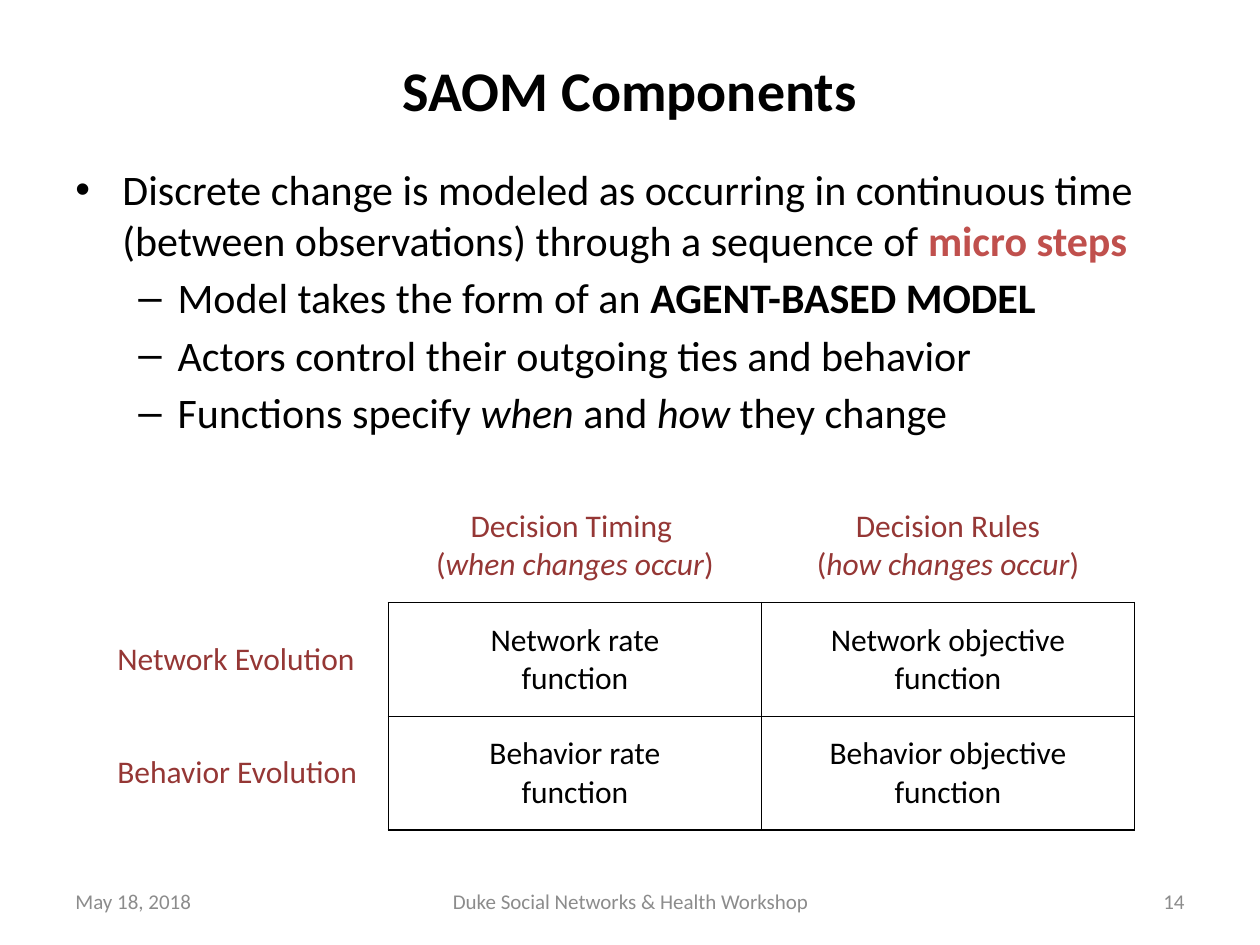
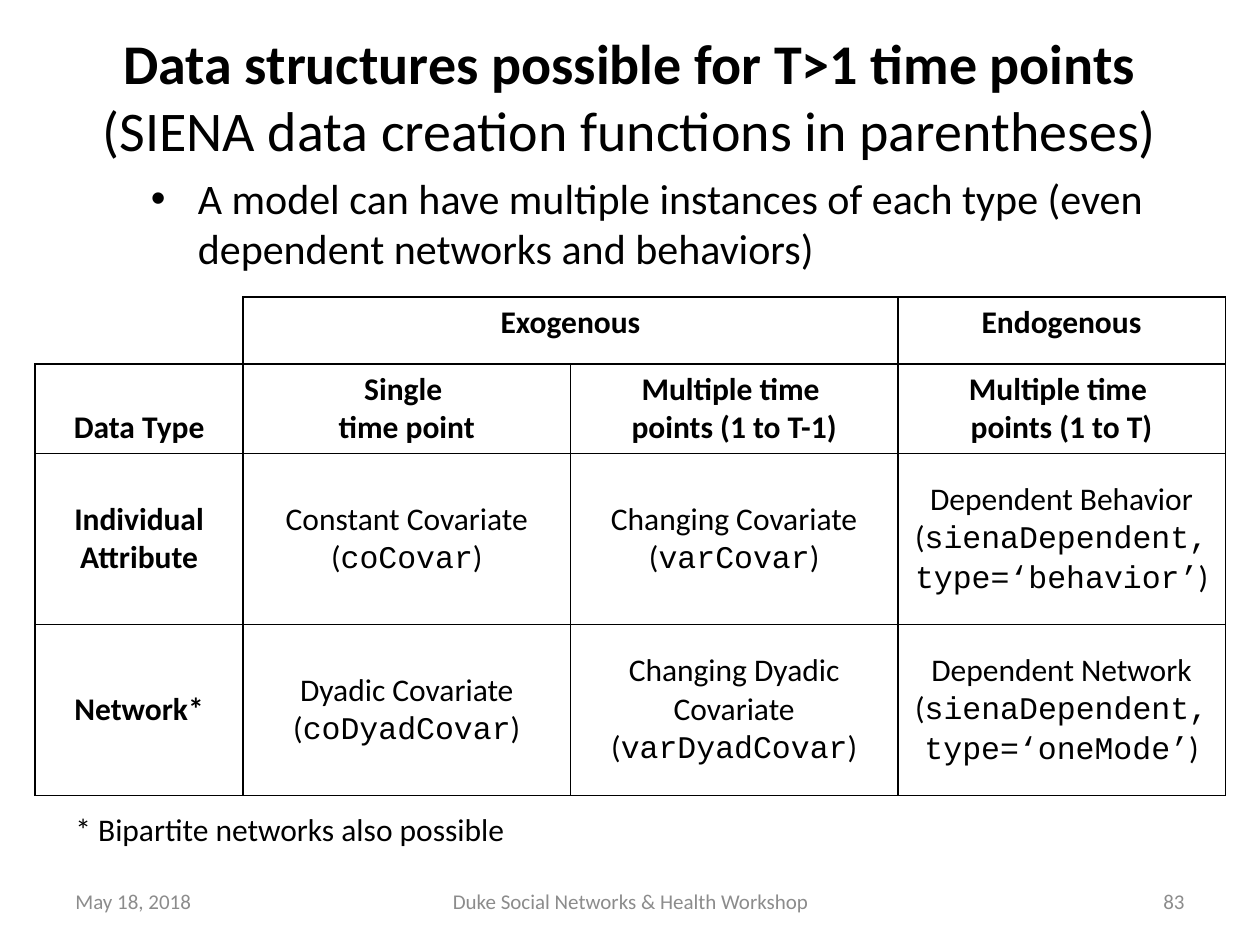
from lxml import etree
from pptx import Presentation
from pptx.dml.color import RGBColor
from pptx.enum.text import MSO_ANCHOR, PP_ALIGN
from pptx.oxml.ns import qn
from pptx.util import Cm, Pt

LEFT, CENTER, RIGHT = PP_ALIGN.LEFT, PP_ALIGN.CENTER, PP_ALIGN.RIGHT
TOP, MIDDLE, BOTTOM = MSO_ANCHOR.TOP, MSO_ANCHOR.MIDDLE, MSO_ANCHOR.BOTTOM

BLACK, GRAY, RED, DARK_RED = "000000", "8C8C8C", "C0504D", "953735"
BODY_FONT, CODE_FONT = "Calibri", "Courier New"
TITLE_SIZE, BODY_SIZE, TABLE_SIZE, FOOTER_SIZE = 32, 24, 18, 12
MARGIN = 1.27
# Bullet levels: character, left margin, hanging indent
LEVELS = [("•", 0.95, -0.95), ("–", 2.06, -0.79)]


def rgb(value):
    return RGBColor.from_string(value)


class Deck:
    """Holds the shared style and the slide being built."""

    def __init__(self):
        self.deck = Presentation()
        self.deck.slide_width, self.deck.slide_height = Cm(25.4), Cm(19.05)
        self.page = None

    def add_page(self, number):
        self.page = self.deck.slides.add_slide(self.deck.slide_layouts[6])
        footers = [(MARGIN, 5.92, "May 18, 2018", LEFT),
                   (8.69, 8.05, "Duke Social Networks & Health Workshop", CENTER),
                   (18.21, 5.92, str(number), RIGHT)]
        for left, width, text, align in footers:
            self.text(left, 17.65, width, 1.02, [text], size=FOOTER_SIZE,
                      color=GRAY, align=align, anchor=MIDDLE)

    def fill_text(self, frame, paragraphs, size, color=BLACK, align=LEFT, bold=False):
        """Each paragraph is a string or a list of strings and (text, style) pairs."""
        frame.text = "\n".join([""] * len(paragraphs))
        for para, spans in zip(frame.paragraphs, paragraphs):
            para.alignment = align
            for item in [spans] if isinstance(spans, str) else spans:
                text, style = (item, {}) if isinstance(item, str) else item
                span = para.add_run()
                span.text = text
                span.font.size = Pt(size)
                span.font.name = style.get("font", BODY_FONT)
                span.font.bold = style.get("bold", bold)
                span.font.italic = style.get("italic", False)
                span.font.color.rgb = rgb(style.get("color", color))

    def text(self, left, top, width, height, paragraphs, anchor=TOP, wrap=True, **style):
        box = self.page.shapes.add_textbox(Cm(left), Cm(top), Cm(width), Cm(height))
        frame = box.text_frame
        frame.word_wrap = wrap
        frame.vertical_anchor = anchor
        self.fill_text(frame, paragraphs, **style)
        return frame

    def title(self, top, height, paragraphs):
        return self.text(MARGIN, top, 22.86, height, paragraphs, anchor=MIDDLE,
                         size=TITLE_SIZE, align=CENTER, bold=True)

    def bullets(self, left, top, width, height, items):
        """Items are (level, paragraph) pairs."""
        frame = self.text(left, top, width, height, [spans for _, spans in items],
                          size=BODY_SIZE)
        for index, (para, (level, _)) in enumerate(zip(frame.paragraphs, items)):
            mark, margin, indent = LEVELS[level]
            properties = para._p.get_or_add_pPr()
            properties.set("marL", str(Cm(margin)))
            properties.set("indent", str(Cm(indent)))
            etree.SubElement(properties, qn("a:buFont")).set("typeface", "Arial")
            etree.SubElement(properties, qn("a:buChar")).set("char", mark)
            para.level = level
            para.space_before = Pt(4 if index else 0)

    def table(self, left, top, widths, heights):
        frame = self.page.shapes.add_table(len(heights), len(widths), Cm(left), Cm(top),
                                           Cm(sum(widths)), Cm(sum(heights)))
        table = frame.table
        table.first_row = table.horz_banding = False
        for column, width in zip(table.columns, widths):
            column.width = Cm(width)
        for row, height in zip(table.rows, heights):
            row.height = Cm(height)
        return table

    def cell(self, cell, paragraphs, sides="LRTB", anchor=MIDDLE, **style):
        cell.fill.background()
        cell.vertical_anchor = anchor
        if paragraphs:
            self.fill_text(cell.text_frame, paragraphs, size=TABLE_SIZE, **style)
        properties = cell._tc.get_or_add_tcPr()
        for index, side in enumerate("LRTB"):
            line = etree.Element(qn("a:ln" + side), w=str(Pt(1)))
            if side in sides:
                fill = etree.SubElement(line, qn("a:solidFill"))
                etree.SubElement(fill, qn("a:srgbClr")).set("val", BLACK)
            else:
                etree.SubElement(line, qn("a:noFill"))
            properties.insert(index, line)


BOLD, PLAIN, ITALIC = {"bold": True}, {"bold": False}, {"italic": True}


def with_code(label, code):
    """One paragraph: a label, then a function name in parentheses."""
    return [[label + " (", (code, {"font": CODE_FONT}), ")"]]


def components_page(deck):
    deck.add_page(14)
    deck.title(0.2, 3.18, ["SAOM Components"])
    deck.bullets(MARGIN, 3.18, 22.5, 13.84, [
        (0, ["Discrete change is modeled as occurring in continuous time "
             "(between observations) through a sequence of ",
             ("micro steps", {"bold": True, "color": RED})]),
        (1, ["Model takes the form of an ", ("AGENT-BASED MODEL", BOLD)]),
        (1, "Actors control their outgoing ties and behavior"),
        (1, ["Functions specify ", ("when", ITALIC), " and ", ("how", ITALIC),
             " they change"]),
    ])

    # Timing and rules for each kind of evolution
    rows = [
        [[],
         ["Decision Timing ", ["(", ("when changes occur", ITALIC), ")"]],
         ["Decision Rules", ["(", ("how changes occur", ITALIC), ")"]]],
        [["Network Evolution"], ["Network rate", "function"],
         ["Network objective function"]],
        [["Behavior Evolution"], ["Behavior rate", "function"],
         ["Behavior objective function"]],
    ]
    table = deck.table(2.11, 9.86, [5.72, 7.52, 7.52], [2.29] * 3)
    for r, row in enumerate(rows):
        for c, paragraphs in enumerate(row):
            if r and c:
                sides = "LRTB"
            else:
                sides = "R" if r else "B" if c else ""
            deck.cell(table.cell(r, c), paragraphs, sides,
                      color=BLACK if r and c else DARK_RED,
                      align=CENTER if c else LEFT)


def structures_page(deck):
    deck.add_page(83)
    title = deck.title(0.33, 3.05, [
        "Data structures possible for T>1 time points",
        [("(SIENA data creation functions in parentheses)", PLAIN)]])
    title.paragraphs[0].line_spacing = 1.1

    # Data types by exogenous and endogenous use
    rows = [
        [[], ["Exogenous"], [], ["Endogenous"]],
        [["Data Type"], ["Single ", "time point"],
         ["Multiple time ", "points (1 to T-1)"], ["Multiple time ", "points (1 to T)"]],
        [["Individual Attribute"],
         with_code("Constant Covariate", "coCovar"),
         with_code("Changing Covariate", "varCovar"),
         with_code("Dependent Behavior", "sienaDependent, type=‘behavior’")],
        [["Network*"],
         with_code("Dyadic Covariate", "coDyadCovar"),
         with_code("Changing Dyadic Covariate", "varDyadCovar"),
         with_code("Dependent Network", "sienaDependent, type=‘oneMode’")],
    ]
    anchors = [TOP, BOTTOM, MIDDLE, MIDDLE]
    table = deck.table(0.71, 5.99, [4.19, 6.6, 6.6, 6.6], [1.35, 1.8, 3.45, 3.45])
    table.cell(0, 1).merge(table.cell(0, 2))
    for r, row in enumerate(rows):
        for c, paragraphs in enumerate(row):
            deck.cell(table.cell(r, c), paragraphs, "LRTB" if r or c else "RB",
                      anchors[r], align=CENTER, bold=r < 2 or c == 0)

    deck.text(MARGIN, 16.2, 9.27, 1.02, ["* Bipartite networks also possible"],
              wrap=False, size=TABLE_SIZE)
    deck.bullets(2.79, 3.35, 20.88, 2.31, [
        (0, "A model can have multiple instances of each type "
            "(even dependent networks and behaviors)")])


def main():
    deck = Deck()
    components_page(deck)
    structures_page(deck)
    deck.deck.save("out.pptx")


if __name__ == "__main__":
    main()
